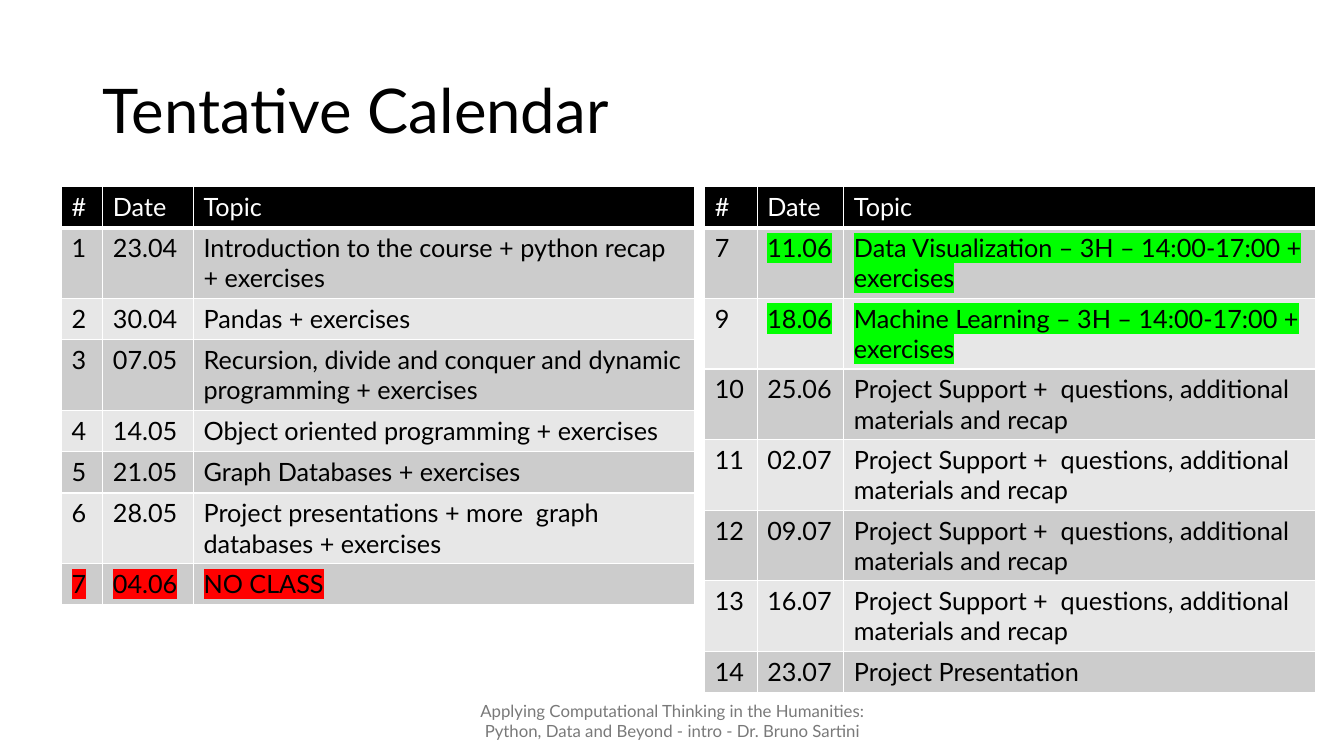
from lxml.etree import SubElement
from pptx import Presentation
from pptx.dml.color import RGBColor
from pptx.enum.text import MSO_ANCHOR as Anchor, MSO_AUTO_SIZE as AutoSize, PP_ALIGN as Align
from pptx.oxml.ns import qn
from pptx.util import Pt

PX = 9144  # 100 px to the inch
FONT = "Lato"
COLORS = {
    "black": "000000", "white": "FFFFFF", "footer": "797979",
    "odd": "CCCCCC", "even": "E7E7E7", "red": "FF0000", "green": "00FF00",
}
ROW_HEIGHT = 41
SUPPORT = "Project Support +  questions, additional materials and recap"

# Each row: number, date, topic, highlight colour, first highlighted column
CALENDARS = [
    {"box": (61, 185, 629, 413), "columns": (41, 90, 497), "rows": [
        ("1", "23.04", "Introduction to the course + python recap + exercises", None, 0),
        ("2", "30.04", "Pandas + exercises", None, 0),
        ("3", "07.05", "Recursion, divide and conquer and dynamic programming + exercises", None, 0),
        ("4", "14.05", "Object oriented programming + exercises", None, 0),
        ("5", "21.05", "Graph Databases + exercises", None, 0),
        ("6", "28.05", "Project presentations + more  graph databases + exercises", None, 0),
        ("7", "04.06", "NO CLASS", "red", 0),
    ]},
    {"box": (699, 185, 606, 501), "columns": (52, 86, 468), "rows": [
        ("7", "11.06", "Data Visualization – 3H – 14:00-17:00 + exercises", "green", 1),
        ("9", "18.06", "Machine Learning – 3H – 14:00-17:00 + exercises", "green", 1),
        ("10", "25.06", SUPPORT, None, 0),
        ("11", "02.07", SUPPORT, None, 0),
        ("12", "09.07", SUPPORT, None, 0),
        ("13", "16.07", SUPPORT, None, 0),
        ("14", "23.07", "Project Presentation", None, 0),
    ]},
]


def write(frame, text, size, color, highlight=None, **paragraph_format):
    paragraph = frame.paragraphs[0]
    for name, value in paragraph_format.items():
        setattr(paragraph, name, value)
    run = paragraph.add_run()
    run.text = text
    for name, value in {"name": FONT, "size": Pt(size), "bold": False}.items():
        setattr(run.font, name, value)
    run.font.color.rgb = RGBColor.from_string(COLORS[color])
    if highlight:
        properties = run.font._element
        mark = SubElement(properties, qn("a:highlight"))
        SubElement(mark, qn("a:srgbClr"), val=COLORS[highlight])
        properties.find(qn("a:solidFill")).addnext(mark)


def style_cell(cell, fill, bottom_width):
    properties = cell._tc.get_or_add_tcPr()
    for side, width in {"L": 1, "R": 1, "T": 1, "B": bottom_width}.items():
        line = SubElement(properties, qn(f"a:ln{side}"), w=str(Pt(width)))
        line_fill = SubElement(line, qn("a:solidFill"))
        SubElement(line_fill, qn("a:srgbClr"), val=COLORS["white"])
    cell.fill.solid()
    cell.fill.fore_color.rgb = RGBColor.from_string(COLORS[fill])


presentation = Presentation()
presentation.slide_width, presentation.slide_height = 1333 * PX, 750 * PX
slide = presentation.slides.add_slide(presentation.slide_layouts[5])

# Title
title = slide.shapes.title
title.left, title.top, title.width, title.height = [n * PX for n in (92, 40, 1150, 145)]
title.text_frame.auto_size = AutoSize.NONE
title.text_frame.vertical_anchor = Anchor.MIDDLE
write(title.text_frame, "Tentative Calendar", 44, "black", alignment=Align.LEFT, line_spacing=0.9)

# Footer
footer = slide.shapes.add_textbox(*[n * PX for n in (442, 695, 450, 40)])
footer.text_frame.word_wrap = True
footer.text_frame.vertical_anchor = Anchor.MIDDLE
write(footer.text_frame,
      "Applying Computational Thinking in the Humanities: "
      "Python, Data and Beyond - intro - Dr. Bruno Sartini",
      12, "footer", alignment=Align.CENTER)

# Calendar tables
for calendar in CALENDARS:
    rows = [("#", "Date", "Topic", None, 0)] + calendar["rows"]
    box = [n * PX for n in calendar["box"]]
    shape = slide.shapes.add_table(len(rows), 3, *box)
    table = shape.table
    for column, width in zip(table.columns, calendar["columns"]):
        column.width = width * PX
    for row_index, (*texts, highlight, first_marked) in enumerate(rows):
        is_header = row_index == 0
        fill = "black" if is_header else "odd" if row_index % 2 else "even"
        table.rows[row_index].height = ROW_HEIGHT * PX
        for column_index, text in enumerate(texts):
            cell = table.cell(row_index, column_index)
            style_cell(cell, fill, 3 if is_header else 1)
            write(cell.text_frame, text, 18, "white" if is_header else "black",
                  highlight if column_index >= first_marked else None)
    # Wrapped rows grow, so the frame is taller than its row heights
    shape.width, shape.height = box[2:]

presentation.save("out.pptx")
